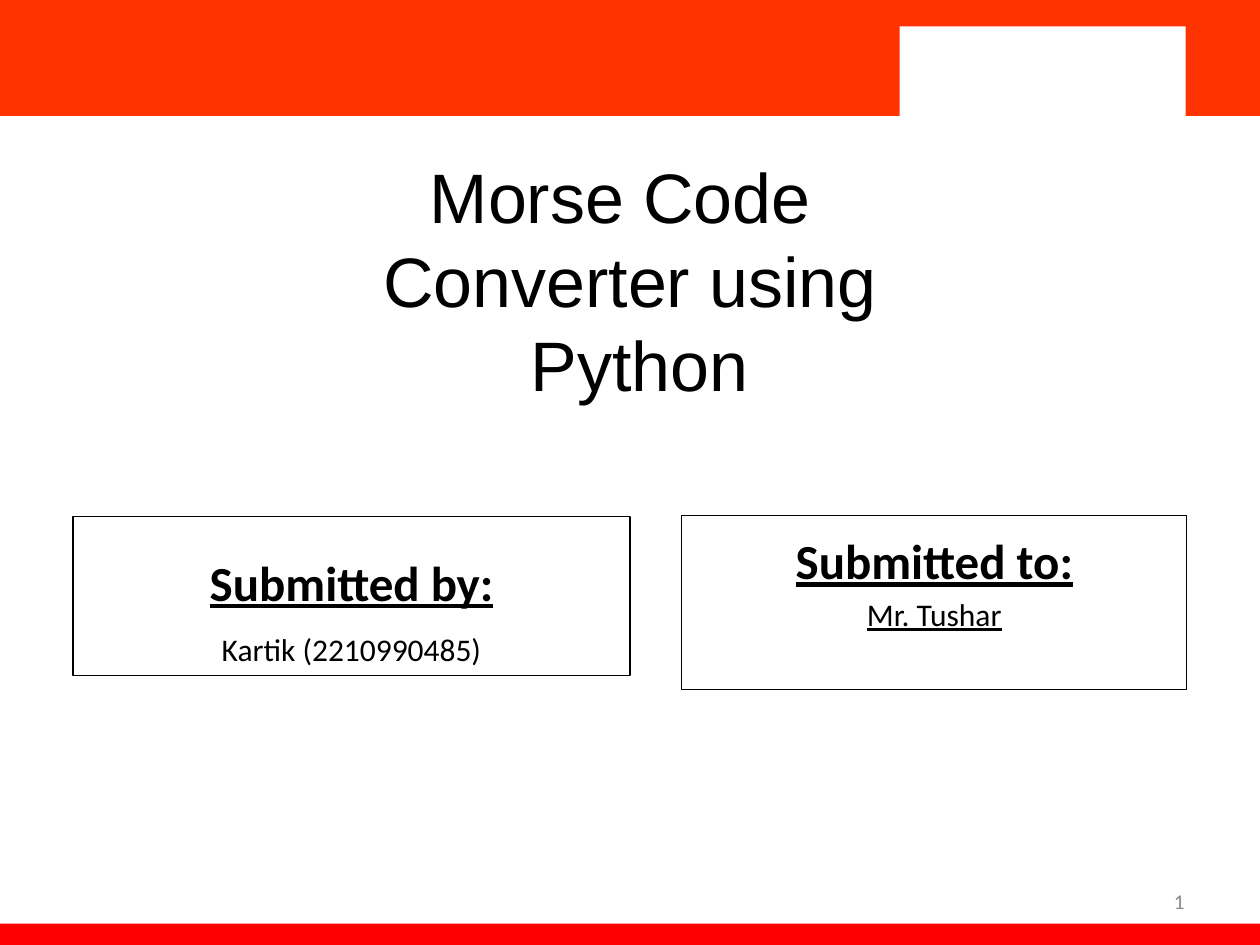
from dataclasses import dataclass

from pptx import Presentation
from pptx.dml.color import RGBColor
from pptx.enum.shapes import MSO_SHAPE
from pptx.enum.text import MSO_ANCHOR, PP_ALIGN
from pptx.util import Inches, Pt

RECT = MSO_SHAPE.RECTANGLE
TOP, MIDDLE = MSO_ANCHOR.TOP, MSO_ANCHOR.MIDDLE
CENTER, RIGHT = PP_ALIGN.CENTER, PP_ALIGN.RIGHT
WIDTH, HEIGHT = Inches(10), Inches(7.5)
COLS, ROWS = 100, 75


@dataclass(frozen=True)
class Theme:
    band: str = "FF3300"
    foot: str = "FF0000"
    paper: str = "FFFFFF"
    ink: str = "000000"
    muted: str = "898989"
    sans: str = "Arial"
    body: str = "Calibri"
    title: int = 40
    head: int = 28
    name: int = 18
    page: int = 12
    rule: float = 0.75


THEME = Theme()


def color(code):
    return RGBColor.from_string(code)


def place(left, top, wide, high):
    col, row = WIDTH / COLS, HEIGHT / ROWS
    return [int(v) for v in (left * col, top * row, wide * col, high * row)]


def add_block(slide, area, fill):
    block = slide.shapes.add_shape(RECT, *place(*area))
    block.shadow.inherit = False
    block.fill.solid()
    block.fill.fore_color.rgb = color(fill)
    block.line.fill.background()


def style(run, font, size, ink, bold=False, under=False):
    run.font.name = font
    run.font.size = Pt(size)
    run.font.color.rgb = color(ink)
    run.font.bold = bold
    run.font.underline = under


def set_text(shape, text, align, anchor):
    frame = shape.text_frame
    frame.word_wrap = True
    frame.vertical_anchor = anchor
    frame.text = text
    for para in frame.paragraphs:
        para.alignment = align
    return frame


def add_label(slide, area, text, align, font, size, ink):
    label = slide.shapes.add_textbox(*place(*area))
    frame = set_text(label, text, align, MIDDLE)
    for para in frame.paragraphs:
        for run in para.runs:
            style(run, font, size, ink)


def add_card(slide, area, text, space, under):
    card = slide.shapes.add_shape(RECT, *place(*area))
    card.shadow.inherit = False
    card.fill.background()
    card.line.color.rgb = color(THEME.ink)
    card.line.width = Pt(THEME.rule)
    frame = set_text(card, text, CENTER, TOP)
    for para in frame.paragraphs:
        para.line_spacing = space
    head, name = [run for para in frame.paragraphs for run in para.runs]
    style(head, THEME.body, THEME.head, THEME.ink, True, True)
    style(name, THEME.body, THEME.name, THEME.ink, False, under)


def main():
    deck = Presentation()
    deck.slide_width, deck.slide_height = WIDTH, HEIGHT
    slide = deck.slides.add_slide(deck.slide_layouts[6])

    add_block(slide, (0, 0, COLS, 9.2), THEME.band)
    add_block(slide, (0, 73.3, COLS, ROWS - 73.3), THEME.foot)
    add_block(slide, (67.2, 0, COLS - 67.2, 9.2), THEME.band)
    add_block(slide, (71.4, 2.1, 22.7, 7.5), THEME.paper)

    add_label(slide, (5, 18.2, 90, 7.9), "Morse Code \nConverter using\n Python",
              CENTER, THEME.sans, THEME.title, THEME.ink)
    add_card(slide, (5.8, 41, 44.2, 12.6),
             "Submitted by:\vKartik (2210990485)", 1.5, False)
    add_card(slide, (54.1, 40.9, 40.1, 13.8),
             "Submitted to:\nMr. Tushar", 1.15, True)
    add_label(slide, (71.7, 69.5, 23.3, 4), "1",
              RIGHT, THEME.body, THEME.page, THEME.muted)

    deck.save("out.pptx")


if __name__ == "__main__":
    main()
